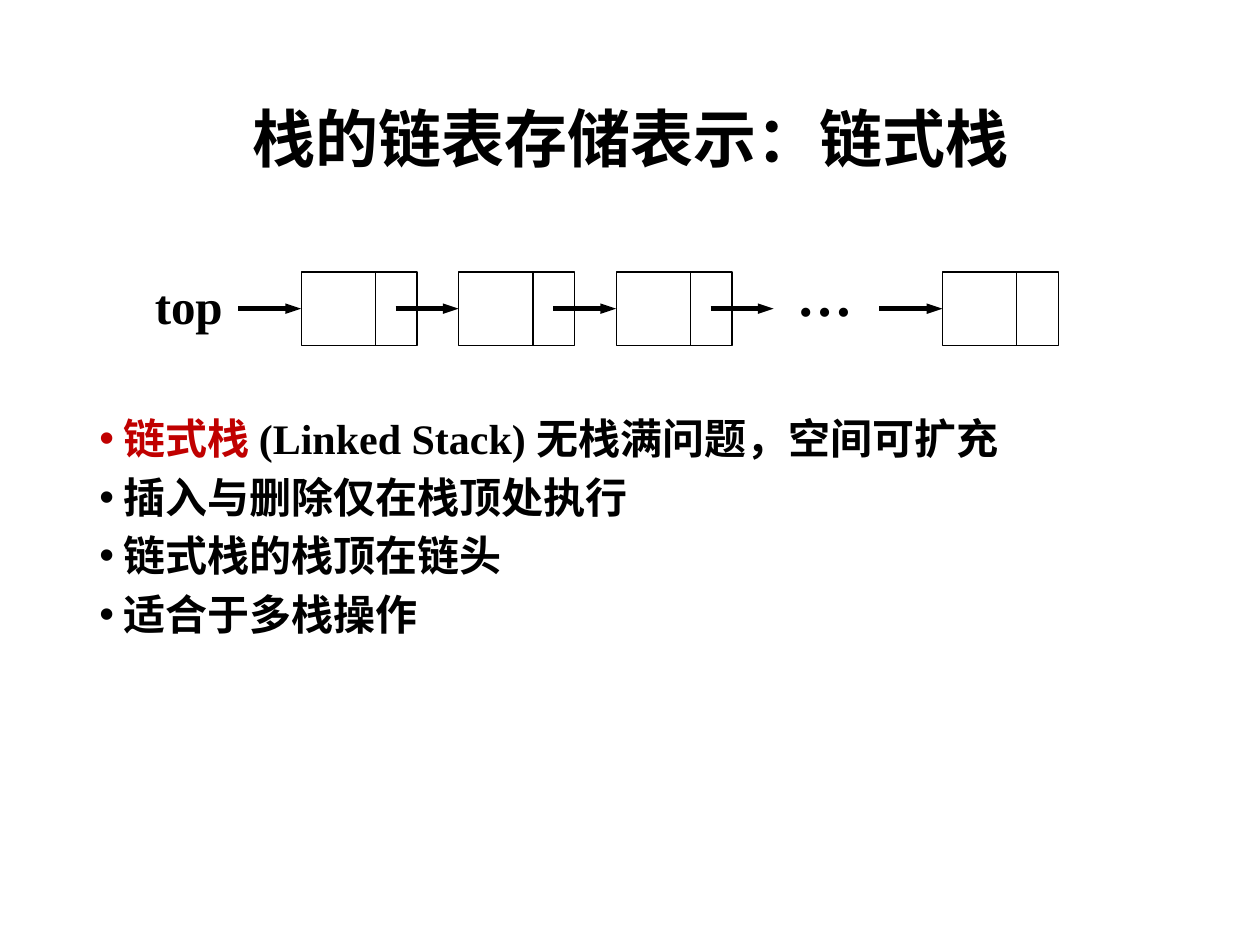
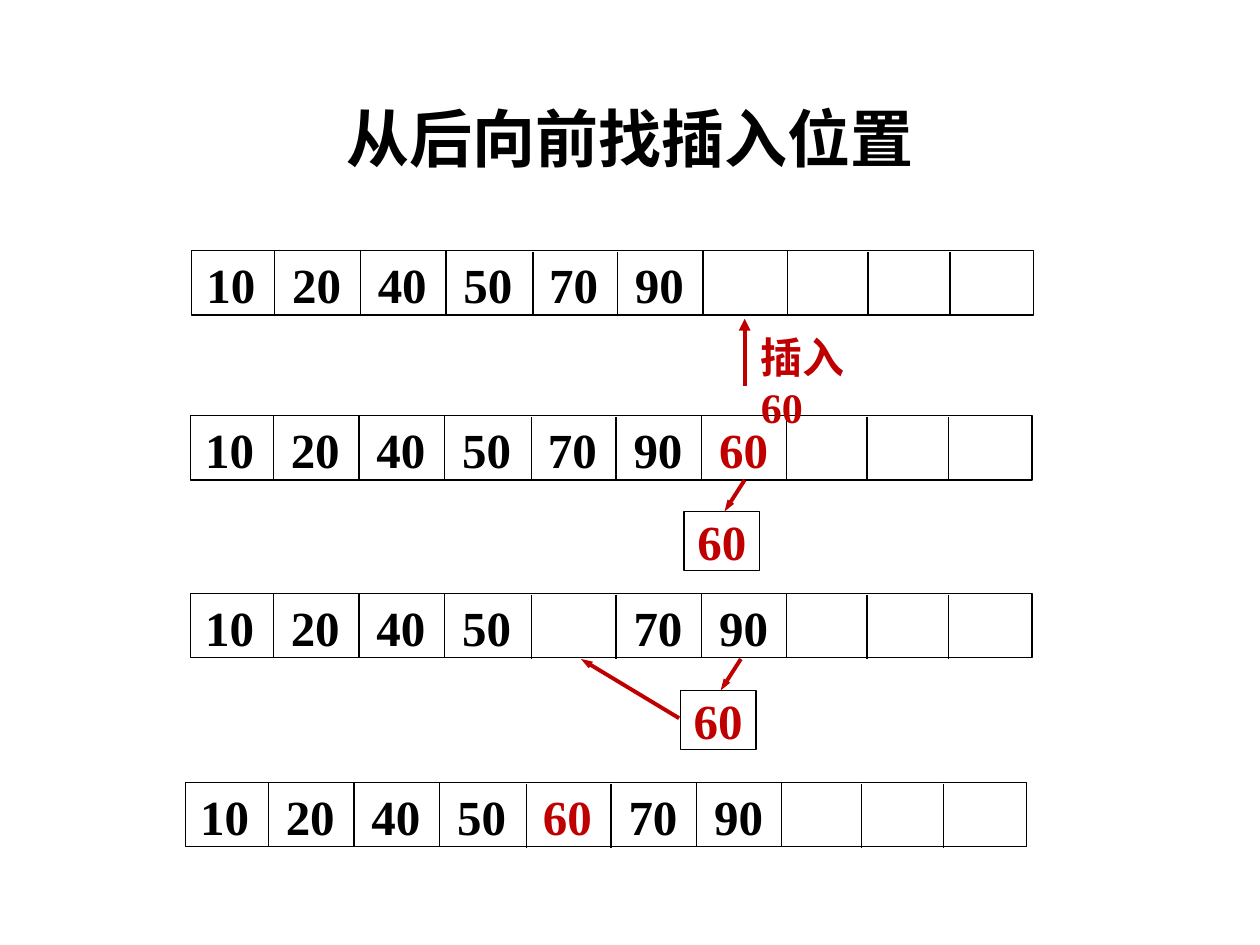
"""Build two slides on linked stacks and ordered insertion."""
from lxml import etree
from pptx import Presentation
from pptx.dml.color import RGBColor
from pptx.enum import shapes, text
from pptx.oxml.ns import qn
from pptx.util import Inches, Pt

HUES = {"ink": "000000", "red": "C00000", "paper": "FFFFFF"}
HAN, ROMAN = "Noto Sans CJK SC", "Times New Roman"
RED = {"hue": "red"}

STACK = "栈的链表存储表示：链式栈"
POINTS = [
    [("链式栈", RED), (" (Linked Stack) ", {"font": ROMAN}), ("无栈满问题，空间可扩充", {})],
    [("插入与删除仅在栈顶处执行", {})],
    [("链式栈的栈顶在链头", {})],
    [("适合于多栈操作", {})],
]
NODES = [2.39, 3.64, 4.89, 7.48]
LINKS = [1.89, 3.14, 4.39, 5.64, 6.98]
NODE_TOP, NODE_W, NODE_H, SPLIT = 2.16, 0.92, 0.58, 0.59

INSERT = "从后向前找插入位置"
ROWS = [
    (1.52, 1.99, ["10", "20", "40", "50", "70", "90"], None),
    (1.51, 3.30, ["10", "20", "40", "50", "70", "90", "60"], 6),
    (1.51, 4.71, ["10", "20", "40", "50", "", "70", "90"], None),
    (1.47, 6.21, ["10", "20", "40", "50", "60", "70", "90"], 4),
]
ROW_W, ROW_H, PITCH = 6.68, 0.51, 0.68
BARS = [0.66, 1.34, 2.02, 2.71, 3.38, 4.06, 4.73, 5.37, 6.02]
LOW = {3, 4, 7, 8}
HELD = [(5.43, 4.06), (5.40, 5.48)]
HELD_W, HELD_H = 0.60, 0.47


def color(name):
    """Return a named colour."""
    return RGBColor.from_string(HUES[name])


def style(run, size=28, font=ROMAN, hue="ink", italic=False):
    """Format one bold run."""
    face = run.font
    face.size, face.name, face.bold, face.italic = Pt(size), font, True, italic
    face.color.rgb = color(hue)
    etree.SubElement(run._r.get_or_add_rPr(), qn("a:ea"), typeface=HAN)


def write(slide, box, paras, shape=None, align="LEFT", anchor="TOP", wrap=True,
          space=None, gap=0, bullet=False, tabs=0, **look):
    """Put paragraphs of (text, format) runs in a box."""
    shape = shape or slide.shapes.add_textbox(*map(Inches, box))
    frame = shape.text_frame
    frame.word_wrap = wrap
    frame.vertical_anchor = getattr(text.MSO_ANCHOR, anchor)
    if isinstance(paras, str):
        paras = [[(paras, {})]]
    for i, runs in enumerate(paras):
        para = frame.add_paragraph() if i else frame.paragraphs[0]
        para.alignment = getattr(text.PP_ALIGN, align)
        if space:
            para.line_spacing = space
        if i and gap:
            para.space_before = Pt(gap)
        props = para._p.get_or_add_pPr()
        if bullet:
            props.set("marL", str(Inches(0.19)))
            props.set("indent", str(-Inches(0.19)))
            etree.SubElement(props, qn("a:buFont"), typeface="Arial")
            etree.SubElement(props, qn("a:buChar"), char="•")
        if tabs:
            stops = etree.SubElement(props, qn("a:tabLst"))
            for k in range(1, tabs + 1):
                etree.SubElement(stops, qn("a:tab"), pos=str(Inches(PITCH * k)), algn="l")
        for words, extra in runs:
            run = para.add_run()
            run.text = words
            style(run, **{**look, **extra})


def rect(slide, x, y, w, h, fill=None):
    """Draw a thin black box."""
    box = slide.shapes.add_shape(shapes.MSO_SHAPE.RECTANGLE, *map(Inches, (x, y, w, h)))
    box.shadow.inherit = False
    if fill:
        box.fill.solid()
        box.fill.fore_color.rgb = color(fill)
    else:
        box.fill.background()
    box.line.color.rgb = color("ink")
    box.line.width = Pt(0.75)
    return box


def line(slide, x1, y1, x2, y2, width=0.75, hue="ink", head=None):
    """Draw a line, with an arrowhead of the given breadth if any."""
    rod = slide.shapes.add_connector(
        shapes.MSO_CONNECTOR.STRAIGHT, *map(Inches, (x1, y1, x2, y2)))
    rod.line.color.rgb = color(hue)
    rod.line.width = Pt(width)
    if head:
        etree.SubElement(rod.line._get_or_add_ln(), qn("a:tailEnd"),
                         type="triangle", w=head, len="med")
    etree.SubElement(rod._element.spPr, qn("a:effectLst"))


def page(deck, title):
    """Add a blank slide with its title."""
    slide = deck.slides.add_slide(deck.slide_layouts[6])
    write(slide, (0.69, 0.4, 8.62, 1.45), title, align="CENTER", anchor="MIDDLE",
          space=0.9, size=36, font=HAN)
    return slide


def stack(deck):
    """Draw the linked stack."""
    slide = page(deck, STACK)
    write(slide, (0.69, 3.27, 8.62, 3.49), POINTS, space=0.9, gap=7.5,
          bullet=True, size=24, font=HAN)
    for x in NODES:
        rect(slide, x, NODE_TOP, NODE_W, NODE_H, "paper")
        line(slide, x + SPLIT, NODE_TOP, x + SPLIT, NODE_TOP + NODE_H)
    mid = NODE_TOP + NODE_H / 2
    for x in LINKS:
        line(slide, x, mid, x + 0.5, mid, width=3, head="sm")
    write(slide, (6.24, 2.02, 0.65, 0.64), "…", wrap=False, size=32, italic=True)
    write(slide, (1.13, 2.14, 0.75, 0.57), "top", wrap=False)


def row(slide, x, y, cells, mark):
    """Draw one array with its values."""
    rect(slide, x, y, ROW_W, ROW_H)
    for i, bar in enumerate(BARS):
        top = y + (0.01 if i in LOW else 0)
        line(slide, x + bar, top, x + bar, top + ROW_H)
    runs = [("\t" * (i > 0) + cell, RED if i == mark else {})
            for i, cell in enumerate(cells)]
    write(slide, (x + 0.02, y - 0.02, 5, 0.57), [runs], tabs=len(cells))


def insert(deck):
    """Draw the insertion steps."""
    slide = page(deck, INSERT)
    for item in ROWS:
        row(slide, *item)
    write(slide, (5.94, 2.58, 1, 0.51), "插入60", size=24, hue="red")
    line(slide, 5.91, 3.06, 5.91, 2.53, width=2.25, hue="red", head="med")
    for x, y in HELD:
        box = rect(slide, x, y, HELD_W, HELD_H)
        write(slide, None, "60", shape=box, align="CENTER", anchor="MIDDLE",
              wrap=False, hue="red")
        line(slide, x + 0.48, y - 0.25, x + 0.32, y, width=2.25, hue="red", head="sm")
    line(slide, 5.39, 5.7, 4.61, 5.23, width=2.25, hue="red", head="sm")


def main():
    """Build and save the deck."""
    deck = Presentation()
    deck.slide_width, deck.slide_height = Inches(10), Inches(7.5)
    stack(deck)
    insert(deck)
    deck.save("out.pptx")


if __name__ == "__main__":
    main()
